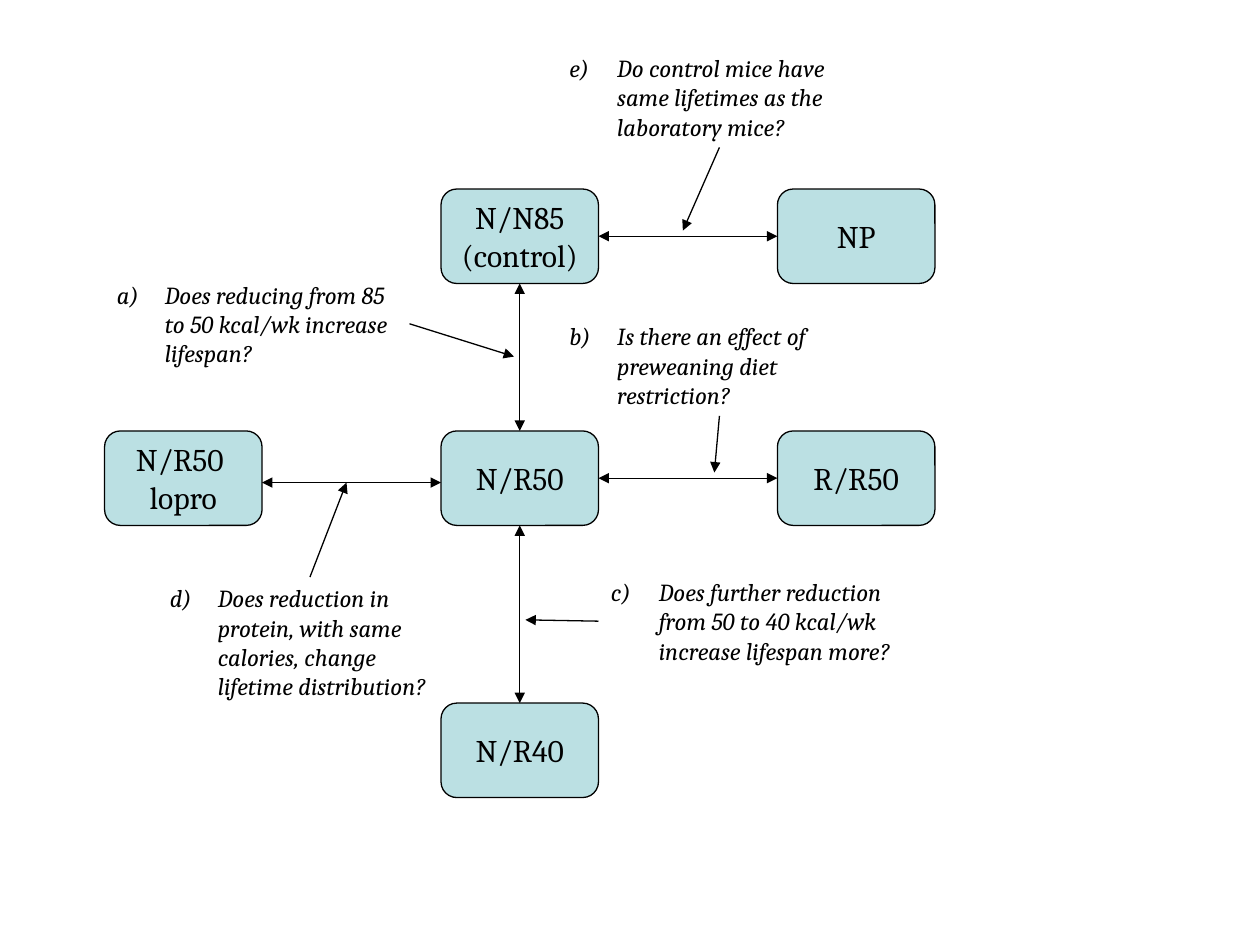
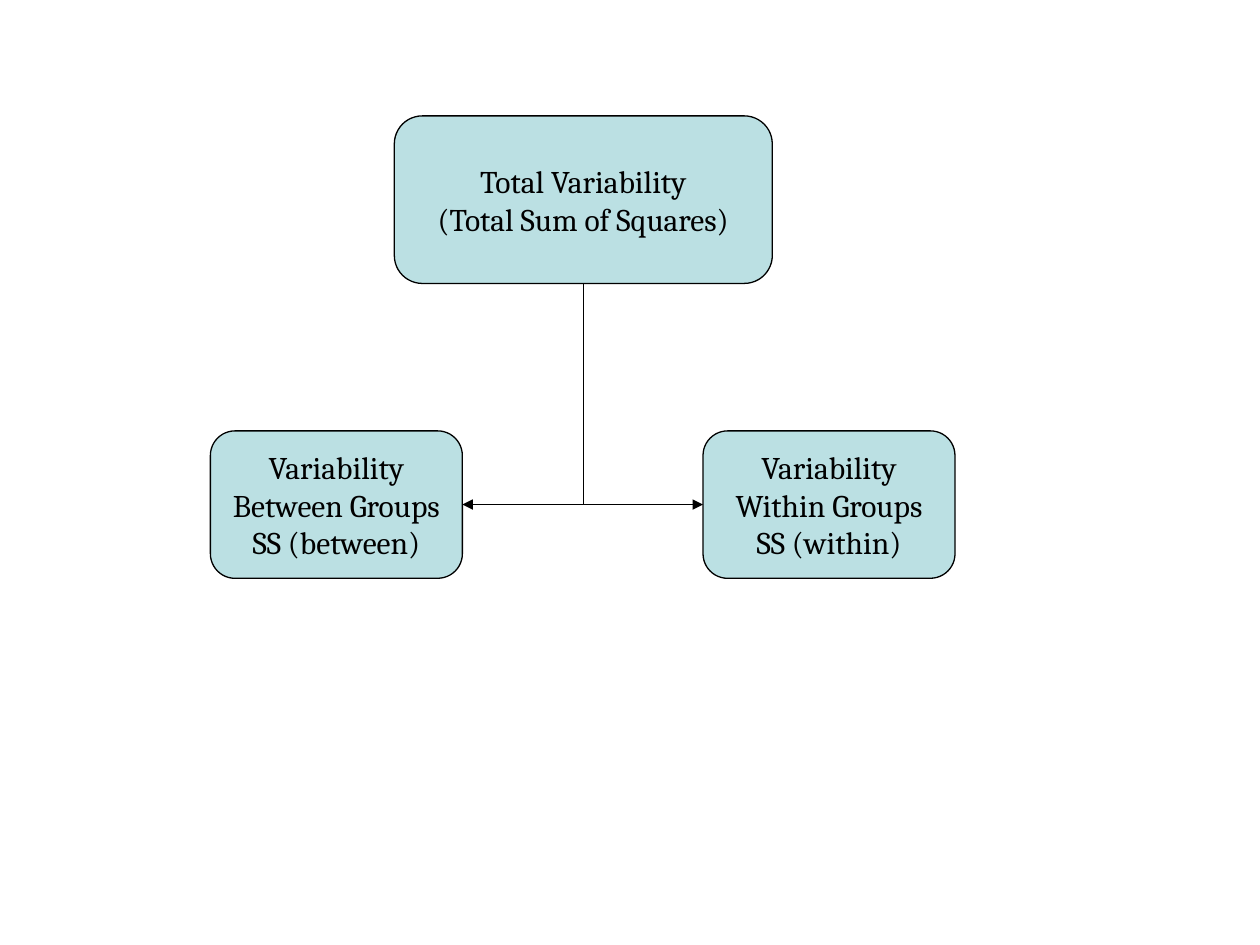
import pptx
import pptx.dml.color
import pptx.enum.dml
import pptx.enum.shapes
import pptx.enum.text
import pptx.oxml.ns
import pptx.util
from lxml import etree

Inches, Pt = pptx.util.Inches, pptx.util.Pt
qn = pptx.oxml.ns.qn
CONNECTOR = pptx.enum.shapes.MSO_CONNECTOR
TOP, LEFT, BOTTOM, RIGHT = range(4)  # connection sites of a box


class Theme:
    ink = pptx.dml.color.RGBColor.from_string("000000")
    box = pptx.dml.color.RGBColor.from_string("BBE0E3")
    font = "Cambria"
    box_size = Pt(18)
    question_size = Pt(14)
    line = Pt(0.75)
    corner = 0.167
    indent = Inches(0.38)


# Diet groups: name -> (column, row, lines of the label)
COLUMNS = [0.83, 3.5, 6.17]
ROWS = [1.5, 3.42, 5.58]
DIET_W, DIET_H = 1.25, 0.75
DIETS = {
    "control": (1, 0, ["N/N85", "(control)"]),
    "np": (2, 0, ["NP"]),
    "n50": (1, 1, ["N/R50"]),
    "lopro": (0, 1, ["N/R50 ", "lopro"]),
    "n40": (1, 2, ["N/R40"]),
    "r50": (2, 1, ["R/R50"]),
}
COMPARISONS = [
    ("control", RIGHT, "np", LEFT),
    ("control", BOTTOM, "n50", TOP),
    ("n50", BOTTOM, "n40", TOP),
    ("n50", RIGHT, "r50", LEFT),
]
LOPRO_COMPARISON = (2.08, 3.83, 3.5, 3.83)

# Questions a) to e): text, box, pointer from the text to its comparison
QUESTIONS = [
    ("Does reducing from 85 to 50 kcal/wk increase lifespan?",
     (0.83, 2.17, 2.42, 1.27), (3.25, 2.57, 4.08, 2.83)),
    ("Is there an effect of preweaning diet restriction?",
     (4.42, 2.5, 2.58, 1.04), (5.71, 3.3, 5.67, 3.75)),
    ("Does further reduction from 50 to 40 kcal/wk increase lifespan more?",
     (4.75, 4.53, 2.75, 1.27), (4.75, 4.93, 4.17, 4.92)),
    ("Does reduction in protein, with same calories, change lifetime distribution?",
     (1.25, 4.58, 2.42, 1.5), (2.46, 4.58, 2.75, 3.83)),
    ("Do control mice have same lifetimes as the laboratory mice?",
     (4.42, 0.37, 2.58, 1.04), (5.71, 1.17, 5.42, 1.83)),
]

# Split of the variability: box and paragraphs, each a list of lines
TOTAL = ((3.13, 0.92, 3, 1.33), [["Total Variability", "(Total Sum of Squares)"]])
PARTS = [
    ((1.67, 3.42, 2, 1.17), RIGHT, [["Variability Between Groups"], ["SS (between)"]]),
    ((5.58, 3.42, 2, 1.17), LEFT, [["Variability Within Groups"], ["SS (within)"]]),
]


# Shared building blocks
def add_run(p, text, size, italic=False):
    r = p.add_run()
    r.text = text
    r.font.name, r.font.size, r.font.italic = Theme.font, size, italic
    r.font.color.rgb = Theme.ink


def add_box(s, place, paragraphs, wrap=False):
    sp = s.shapes.add_shape(pptx.enum.shapes.MSO_SHAPE.ROUNDED_RECTANGLE,
                            *map(Inches, place))
    sp.adjustments[0] = Theme.corner
    sp.shadow.inherit = False
    sp.fill.solid()
    sp.fill.fore_color.rgb = Theme.box
    sp.line.color.rgb = Theme.ink
    sp.line.width = Theme.line
    tf = sp.text_frame
    tf.word_wrap = wrap
    tf.vertical_anchor = pptx.enum.text.MSO_ANCHOR.MIDDLE
    for i, lines in enumerate(paragraphs):
        p = tf.add_paragraph() if i else tf.paragraphs[0]
        p.alignment = pptx.enum.text.PP_ALIGN.CENTER
        for j, line in enumerate(lines):
            if j:
                p.add_line_break()
            add_run(p, line, Theme.box_size)
    return sp


def add_line(s, ends=(0, 0, 0, 0), kind=CONNECTOR.STRAIGHT, arrows=("tailEnd",)):
    cx = s.shapes.add_connector(kind, *map(Inches, ends))
    cx.line.color.rgb = Theme.ink
    cx.line.width = Theme.line
    ln = cx.line._get_or_add_ln()
    for arrow in arrows:
        etree.SubElement(ln, qn("a:" + arrow), type="triangle")
    etree.SubElement(cx._element.spPr, qn("a:effectLst"))
    return cx


def add_question(s, number, text, place):
    tf = s.shapes.add_textbox(*map(Inches, place)).text_frame
    tf.word_wrap = True
    tf.auto_size = pptx.enum.text.MSO_AUTO_SIZE.SHAPE_TO_FIT_TEXT
    p = tf.paragraphs[0]
    pPr = p._p.get_or_add_pPr()
    pPr.set("marL", str(Theme.indent))
    pPr.set("indent", str(-Theme.indent))
    color = etree.SubElement(pPr, qn("a:buClr"))
    etree.SubElement(color, qn("a:srgbClr"), val=str(Theme.ink))
    etree.SubElement(pPr, qn("a:buAutoNum"), type="alphaLcParenR", startAt=str(number))
    add_run(p, text, Theme.question_size, italic=True)


# Slide 1: diet comparisons and the questions they answer
def diet_slide(s):
    boxes = {name: add_box(s, (COLUMNS[col], ROWS[row], DIET_W, DIET_H), [lines])
             for name, (col, row, lines) in DIETS.items()}
    both = ("headEnd", "tailEnd")
    for first, first_site, second, second_site in COMPARISONS:
        cx = add_line(s, arrows=both)
        cx.begin_connect(boxes[first], first_site)
        cx.end_connect(boxes[second], second_site)
    add_line(s, LOPRO_COMPARISON, arrows=both)
    for number, (text, place, pointer) in enumerate(QUESTIONS, 1):
        add_question(s, number, text, place)
        add_line(s, pointer)


# Slide 2: total variability split into two parts
def variability_slide(s):
    total = add_box(s, *TOTAL)
    for place, site, paragraphs in PARTS:
        part = add_box(s, place, paragraphs, wrap=True)
        cx = add_line(s, kind=CONNECTOR.ELBOW, arrows=("headEnd",))
        cx._element.spPr.find(qn("a:prstGeom")).set("prst", "bentConnector2")
        cx.begin_connect(part, site)
        cx.end_connect(total, BOTTOM)


def main():
    prs = pptx.Presentation()
    prs.slide_width, prs.slide_height = Inches(10), Inches(7.5)
    blank = prs.slide_layouts[6]
    for build in (diet_slide, variability_slide):
        build(prs.slides.add_slide(blank))
    prs.save("out.pptx")


if __name__ == "__main__":
    main()
